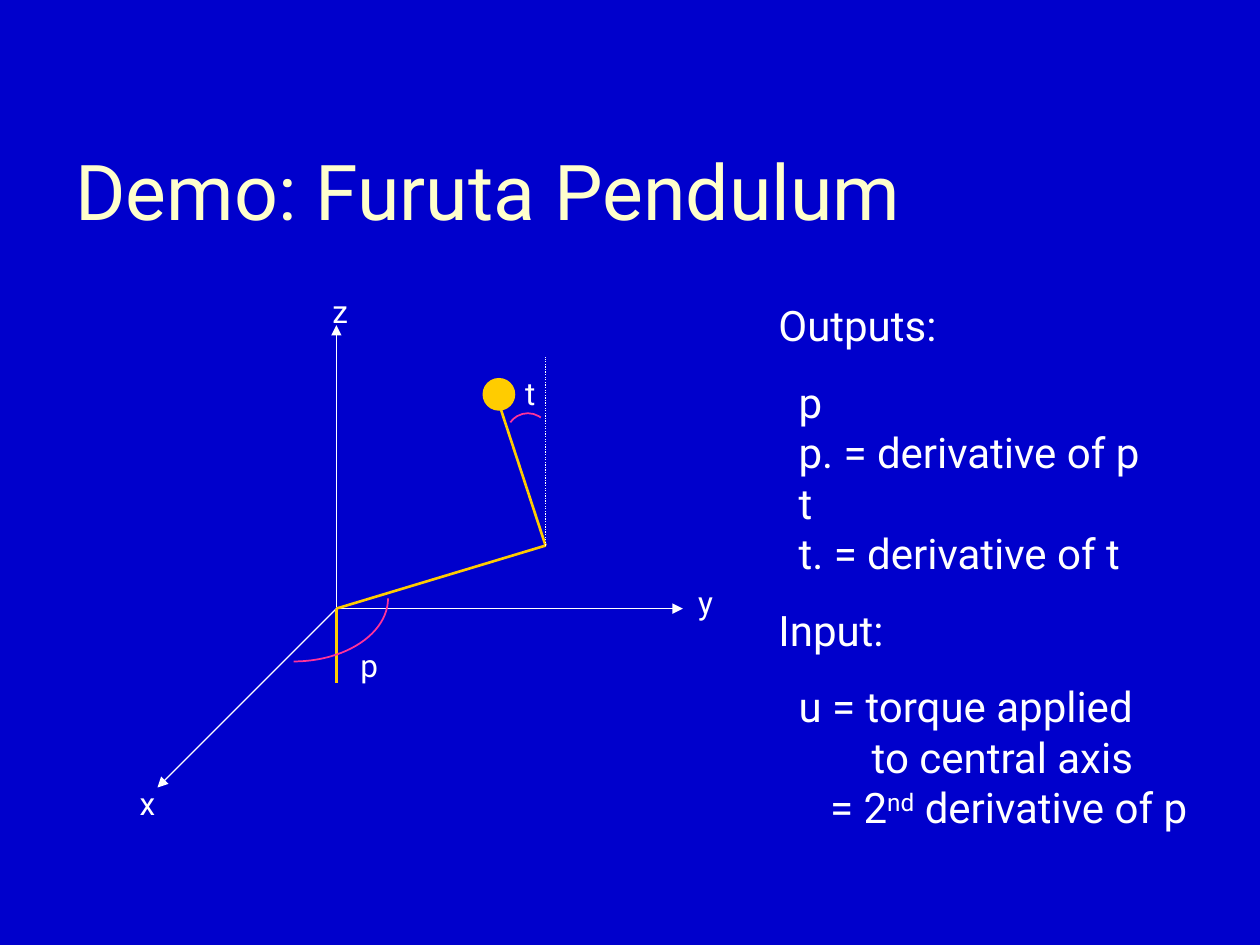
from lxml import etree
from pptx import Presentation
from pptx.dml.color import RGBColor
from pptx.enum.dml import MSO_LINE
from pptx.enum.shapes import MSO_CONNECTOR, MSO_SHAPE
from pptx.enum.text import MSO_ANCHOR, PP_ALIGN
from pptx.oxml.ns import qn
from pptx.util import Inches, Pt

STRAIGHT = MSO_CONNECTOR.STRAIGHT
ARC, OVAL = MSO_SHAPE.ARC, MSO_SHAPE.OVAL
DOTTED = MSO_LINE.ROUND_DOT
TOP, BOTTOM = MSO_ANCHOR.TOP, MSO_ANCHOR.BOTTOM
LEFT, CENTER = PP_ALIGN.LEFT, PP_ALIGN.CENTER

BLUE, CREAM, WHITE, GOLD, PINK = "0000CC", "FFFFCC", "FFFFFF", "FFCC00", "FF3399"


def colour(value):
    return RGBColor.from_string(value)


class SlideBuilder:
    font = "Roboto"

    def __init__(self, slide):
        self.slide = slide
        slide.background.fill.solid()
        slide.background.fill.fore_color.rgb = colour(BLUE)

    def text_box(self, left, top, width, height, anchor=TOP, wrap=True):
        box = self.slide.shapes.add_textbox(
            Inches(left), Inches(top), Inches(width), Inches(height))
        frame = box.text_frame
        frame.word_wrap = wrap
        frame.vertical_anchor = anchor
        return frame

    def style(self, paragraph, size, text_colour=WHITE, align=LEFT):
        paragraph.alignment = align
        paragraph.font.name = self.font
        paragraph.font.size = Pt(size)
        paragraph.font.color.rgb = colour(text_colour)

    def title(self, text):
        paragraph = self.text_box(0.5, 0.67, 9.28, 1.25, BOTTOM).paragraphs[0]
        paragraph.text = text
        self.style(paragraph, 44, CREAM)

    def label(self, text, center_x, top):
        frame = self.text_box(center_x - 0.2, top, 0.4, 0.4, wrap=False)
        frame.paragraphs[0].text = text
        self.style(frame.paragraphs[0], 18, align=CENTER)

    def line(self, start, end, line_colour, width, arrow=False, dash=None):
        connector = self.slide.shapes.add_connector(
            STRAIGHT, *(Inches(value) for value in start + end))
        connector.line.color.rgb = colour(line_colour)
        connector.line.width = Pt(width)
        if dash:
            connector.line.dash_style = dash
        if arrow:
            etree.SubElement(connector.line._get_or_add_ln(), qn("a:tailEnd"), type="triangle")
        etree.SubElement(connector._element.spPr, qn("a:effectLst"))

    def round_shape(self, kind, center, radius_x, radius_y):
        shape = self.slide.shapes.add_shape(
            kind, Inches(center[0] - radius_x), Inches(center[1] - radius_y),
            Inches(2 * radius_x), Inches(2 * radius_y))
        shape.shadow.inherit = False
        return shape

    def ball(self, center, radius):
        shape = self.round_shape(OVAL, center, radius, radius)
        shape.fill.solid()
        shape.fill.fore_color.rgb = colour(GOLD)
        shape.line.fill.background()

    def angle_arc(self, center, radius_x, radius_y, start, end):
        shape = self.round_shape(ARC, center, radius_x, radius_y)
        shape.fill.background()
        shape.line.color.rgb = colour(PINK)
        shape.line.width = Pt(1)
        # Angles are stored in 60000ths of a degree, adjustments in 100000ths
        for index, degrees in enumerate((start, end)):
            shape.adjustments[index] = degrees * 0.6

    def listing(self, lines):
        frame = self.text_box(6.08, 2.33, 3.83, 4.33)
        for index, (indent, gap, parts) in enumerate(lines):
            paragraph = frame.add_paragraph() if index else frame.paragraphs[0]
            properties = paragraph._p.get_or_add_pPr()
            properties.set("marL", str(Inches(indent)))
            paragraph.space_before = Pt(gap)
            self.style(paragraph, 24)
            for position, part in enumerate(parts):
                run = paragraph.add_run()
                run.text = part
                if position == 1:  # the middle part is a superscript
                    run._r.get_or_add_rPr().set("baseline", "30000")


def main():
    presentation = Presentation()
    presentation.slide_width, presentation.slide_height = Inches(10), Inches(7.5)
    builder = SlideBuilder(presentation.slides.add_slide(presentation.slide_layouts[6]))

    builder.title("Demo: Furuta Pendulum")

    # Coordinate axes
    origin, elbow, bob = (2.67, 4.83), (4.33, 4.33), (3.92, 3.08)
    for tip in ((2.67, 2.58), (5.42, 4.83), (1.25, 6.25)):
        builder.line(origin, tip, WHITE, 0.75, arrow=True)

    # Pendulum: central axis, arm, rod and ball
    for start, end in ((origin, (2.67, 5.42)), (origin, elbow), (elbow, bob)):
        builder.line(start, end, GOLD, 1.5)
    builder.ball((3.96, 3.13), 0.13)

    # Angles and vertical reference
    builder.angle_arc((4.19, 3.45), 0.17, 0.17, 215, 307)
    builder.angle_arc((2.33, 4.75), 0.75, 0.5, 0, 90)
    builder.line(elbow, (4.33, 2.83), WHITE, 0.75, dash=DOTTED)

    # Axis and angle labels
    for text, center_x, top in (("p", 2.93, 5.08), ("t", 4.21, 2.92), ("x", 1.17, 6.17),
                                ("y", 5.6, 4.58), ("z", 2.7, 2.27)):
        builder.label(text, center_x, top)

    # Outputs and input: indent, space before, text parts
    builder.listing([
        (0, 0, ["Outputs:"]),
        (0.16, 15, ["p"]),
        (0.16, 0, ["p. = derivative of p"]),
        (0.16, 0, ["t"]),
        (0.16, 0, ["t. = derivative of t"]),
        (0, 15, ["Input:"]),
        (0.16, 15, ["u = torque applied"]),
        (0.74, 0, ["to central axis"]),
        (0.41, 0, ["= 2", "nd", " derivative of p"]),
    ])

    presentation.save("out.pptx")


if __name__ == "__main__":
    main()
